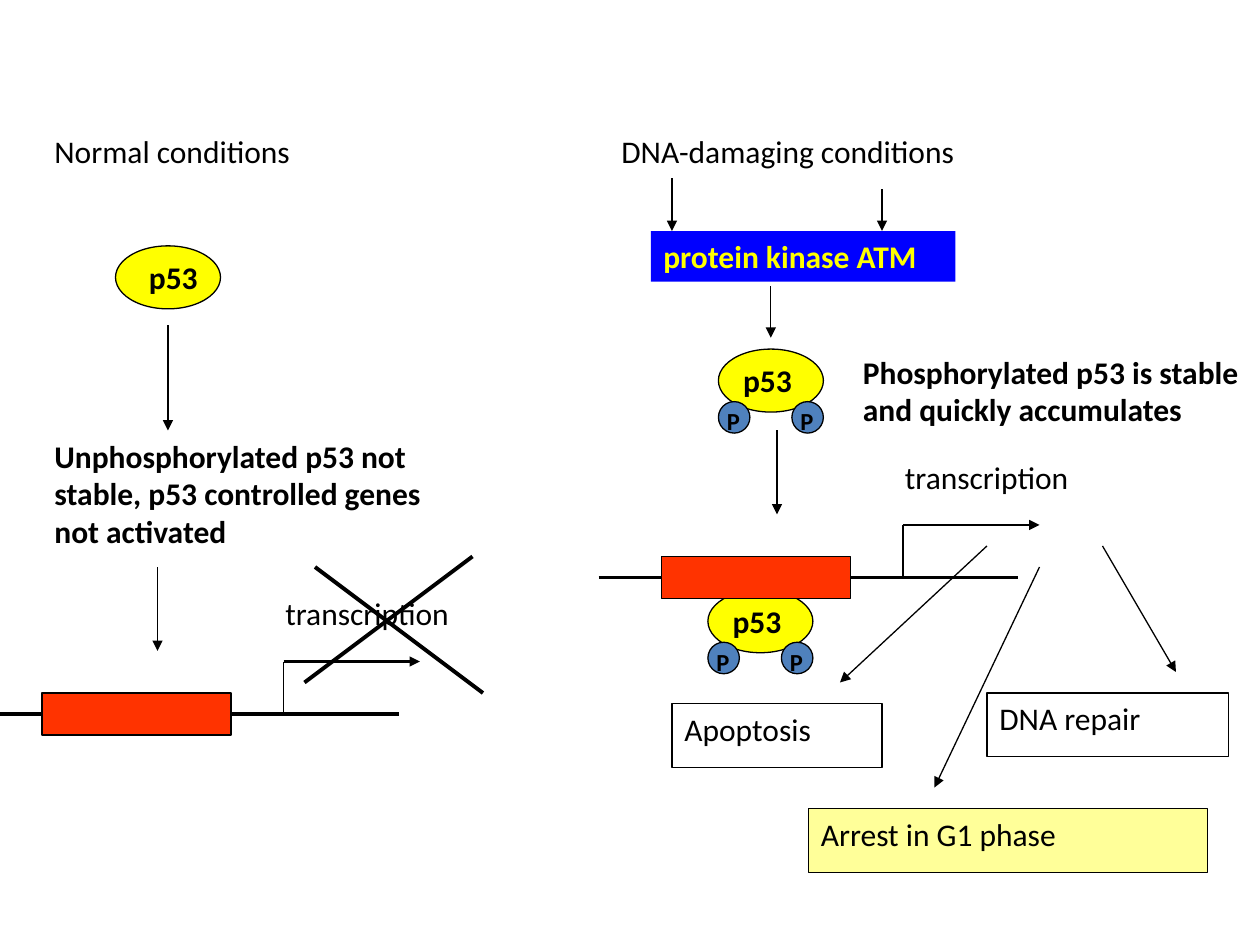
from lxml.etree import SubElement
from pptx import Presentation
from pptx.dml.color import RGBColor
from pptx.enum.shapes import MSO_CONNECTOR as Link, MSO_SHAPE as Shape
from pptx.enum.text import MSO_ANCHOR as Anchor, PP_ALIGN as Align
from pptx.oxml.ns import qn
from pptx.util import Pt

BLACK, YELLOW, BLUE = "000000", "FFFF00", "0000FF"
RED, CREAM, STEEL = "FF3300", "FFFF99", "4F81BD"


def color(code):
    return RGBColor.from_string(code)


class Sketch:
    font = "Calibri"
    size = 18
    thin = 0.75

    def __init__(self, slide):
        self.slide = slide

    def label(self, shape, words, size=None, bold=False, ink=BLACK):
        frame = shape.text_frame
        frame.word_wrap = True
        frame.vertical_anchor = Anchor.TOP
        para = frame.paragraphs[0]
        para.alignment = Align.LEFT
        run = para.add_run()
        run.text = words
        run.font.name = self.font
        run.font.size = Pt(size or self.size)
        run.font.bold = bold
        run.font.color.rgb = color(ink)

    def text(self, x, y, w, h, words, **look):
        box = self.slide.shapes.add_textbox(Pt(x), Pt(y), Pt(w), Pt(h))
        self.label(box, words, **look)

    def shape(self, kind, x, y, w, h, fill=None, edge=BLACK):
        item = self.slide.shapes.add_shape(kind, Pt(x), Pt(y), Pt(w), Pt(h))
        item.shadow.inherit = False
        if fill:
            item.fill.solid()
            item.fill.fore_color.rgb = color(fill)
        else:
            item.fill.background()
        if edge:
            item.line.color.rgb = color(edge)
            item.line.width = Pt(self.thin)
        else:
            item.line.fill.background()
        return item

    def box(self, x, y, w, h, words, fill=None, edge=BLACK, **look):
        self.label(self.shape(Shape.RECTANGLE, x, y, w, h, fill, edge), words, **look)

    def line(self, x1, y1, x2, y2, width=thin, arrow=False):
        link = self.slide.shapes.add_connector(
            Link.STRAIGHT, Pt(x1), Pt(y1), Pt(x2), Pt(y2))
        link.line.color.rgb = color(BLACK)
        link.line.width = Pt(width)
        props = link._element.spPr
        if arrow:
            SubElement(props.find(qn("a:ln")), qn("a:tailEnd"), type="triangle")
        SubElement(props, qn("a:effectLst"))

    def arrow(self, x1, y1, x2, y2, width=thin):
        self.line(x1, y1, x2, y2, width, arrow=True)

    def protein(self, x, y, shift):
        """Draw p53 with its label moved right by shift."""
        self.shape(Shape.OVAL, x, y, 60, 36, YELLOW)
        self.text(x + shift, y + 3.5, 60, 29, "p53", bold=True)

    def active(self, x, y):
        """Draw p53 carrying two phosphate groups."""
        self.protein(x, y, 7)
        for left in (x, x + 42):
            self.shape(Shape.OVAL, left, y + 30, 18, 18, STEEL)
            self.text(left - 2.2, y + 29, 36, 24, "P", size=14, bold=True)

    def gene(self, x, y):
        """Draw a strand with its binding site and start of transcription."""
        start, top = x + 174, y - 30
        self.line(x, y, x + 240, y, 2.25)
        self.shape(Shape.RECTANGLE, x + 36, y - 12, 108, 24, RED)
        self.line(start, top, start, y)
        self.arrow(start, top, start + 78, top, 1.5)
        self.text(start - 6, y - 72, 138, 36, "transcription")


def normal(art):
    art.text(24, 72, 234, 36, "Normal conditions")
    art.protein(66, 140.5, 12)
    art.arrow(96, 186, 96, 246)
    art.text(24, 246, 234, 72, "Unphosphorylated p53 not stable, "
             "p53 controlled genes not activated", bold=True)
    art.arrow(90, 324, 90, 372)
    art.gene(-12, 408)
    art.line(180, 324, 276, 396, 2.25)
    art.line(270, 318, 174, 390, 2.25)


def damage(art):
    art.text(348, 72, 288, 36, "DNA-damaging conditions")
    art.arrow(384, 102, 384, 132)
    art.arrow(504, 108, 504, 132)
    art.box(372, 132, 174, 29, "protein kinase ATM", BLUE, None,
            bold=True, ink=YELLOW)
    art.arrow(440.5, 163.5, 440.5, 193)
    art.active(410.5, 199.5)
    art.text(486, 198, 234, 50,
             "Phosphorylated p53 is stable and quickly accumulates", bold=True)
    art.arrow(444, 246, 444, 294)
    art.active(404.5, 337)
    art.gene(342, 330)
    art.box(384, 402, 120, 36.5, "Apoptosis")
    art.box(564, 396, 138, 36.5, "DNA repair")
    art.box(462, 462, 228, 36.5, "Arrest in G1 phase", CREAM)
    art.arrow(564, 312, 480, 390)
    art.arrow(594, 324, 534, 450)
    art.arrow(630, 312, 672, 384)


def main():
    deck = Presentation()
    deck.slide_width, deck.slide_height = Pt(720), Pt(540)
    art = Sketch(deck.slides.add_slide(deck.slide_layouts[6]))
    normal(art)
    damage(art)
    deck.save("out.pptx")


if __name__ == "__main__":
    main()
